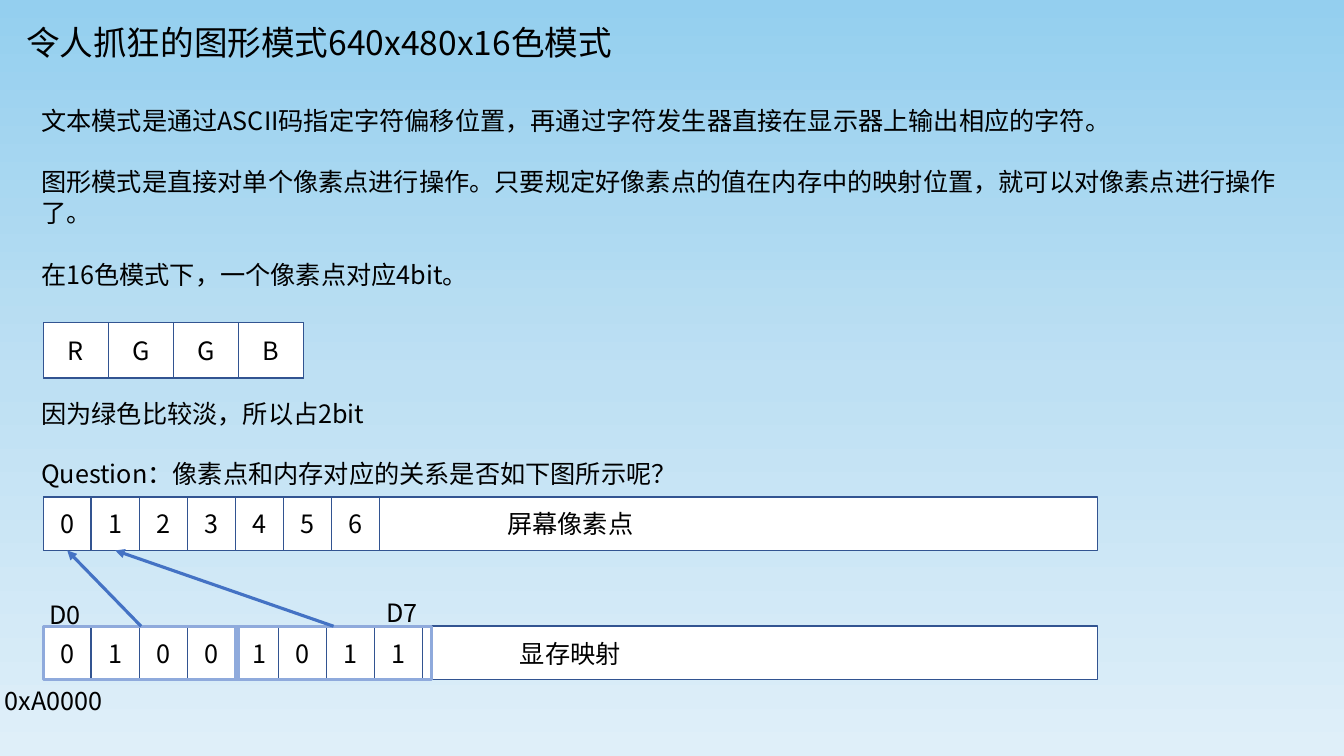
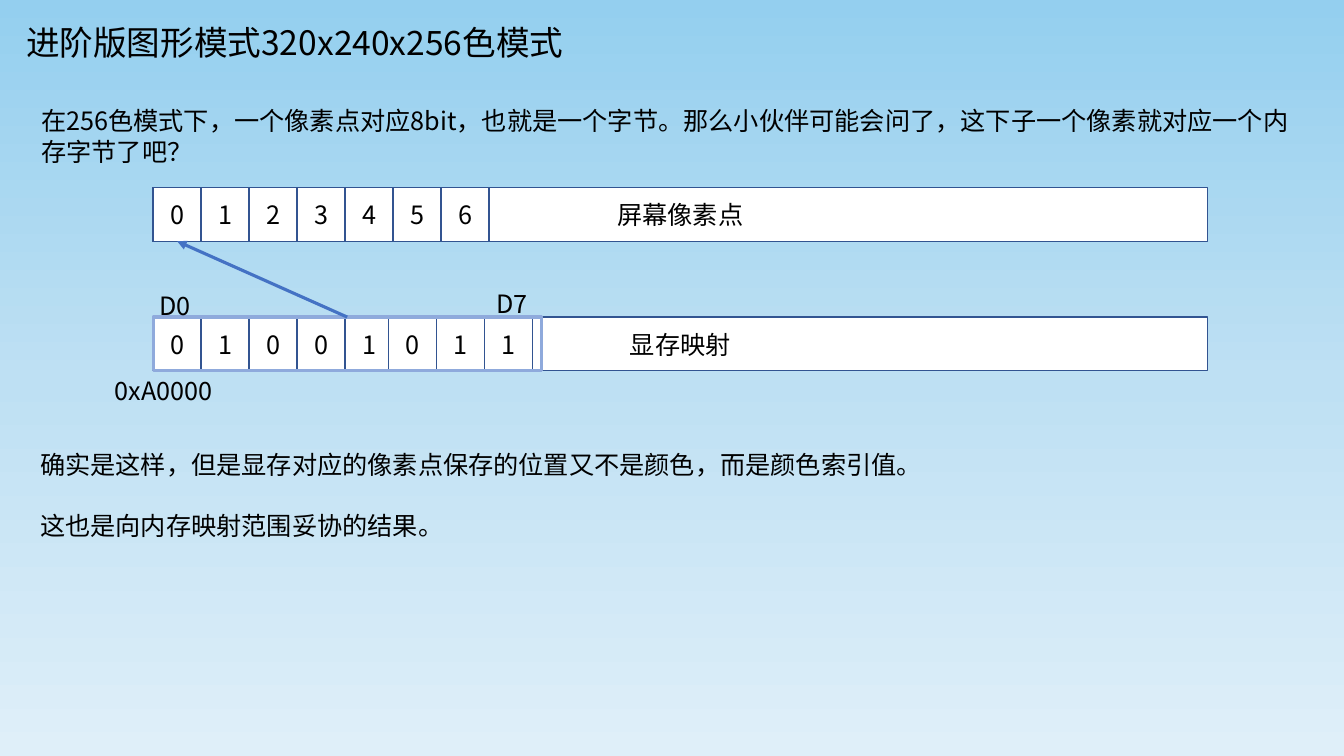
from dataclasses import dataclass

from lxml.etree import SubElement
from pptx import Presentation
from pptx.dml.color import RGBColor
from pptx.enum.shapes import MSO_CONNECTOR, MSO_SHAPE
from pptx.enum.text import MSO_ANCHOR, PP_ALIGN
from pptx.oxml.ns import qn
from pptx.util import Cm, Pt


@dataclass(frozen=True)
class Theme:
    """Colours, font and sizes shared by the slides."""
    font: str = "Noto Sans CJK SC"
    ink: str = "000000"
    paper: str = "FFFFFF"
    edge: str = "325491"
    frame: str = "8FAADC"
    arrow: str = "4472C4"
    sky: tuple = ((0, "94CFEF"), (50, "BEE0F3"), (100, "DFEFF9"))
    title: int = 24
    body: int = 18
    lead: float = 1.22
    thin: float = 1
    thick: float = 2.25


THEME = Theme()


def paint(master):
    """Give the master its three-stop vertical gradient."""
    fill = master.background.fill
    fill.gradient()
    fill.gradient_angle = 270
    stops = master.element.find(".//" + qn("a:gsLst"))
    stops.clear()
    for place, color in THEME.sky:
        stop = SubElement(stops, qn("a:gs"), pos=str(place * 1000))
        SubElement(stop, qn("a:srgbClr"), val=color)


def style(frame, size, align=PP_ALIGN.LEFT):
    """Set font, line pitch and alignment of all text in a frame."""
    pitch = Pt(size * THEME.lead)
    for index, para in enumerate(frame.paragraphs):
        para.alignment = align
        para.line_spacing = pitch
        if index:
            para.space_before = pitch
        for run in para.runs:
            run.font.name = THEME.font
            run.font.size = Pt(size)
            run.font.color.rgb = RGBColor.from_string(THEME.ink)
            SubElement(run._r.get_or_add_rPr(), qn("a:ea"), typeface=THEME.font)


def label(slide, text, left, top, width, height=1.03, size=THEME.body):
    """Add a wrapped text box with one paragraph per line of text."""
    box = slide.shapes.add_textbox(Cm(left), Cm(top), Cm(width), Cm(height))
    frame = box.text_frame
    frame.word_wrap = True
    frame.text = text
    style(frame, size)


def rect(slide, left, top, width, height, line, weight):
    """Add an outlined rectangle without fill or shadow."""
    box = slide.shapes.add_shape(
        MSO_SHAPE.RECTANGLE, Cm(left), Cm(top), Cm(width), Cm(height))
    box.shadow.inherit = False
    box.fill.background()
    box.line.color.rgb = RGBColor.from_string(line)
    box.line.width = Pt(weight)
    return box


def cell(slide, text, left, top, width, height):
    """Add a white box with centred text."""
    box = rect(slide, left, top, width, height, THEME.edge, THEME.thin)
    box.fill.solid()
    box.fill.fore_color.rgb = RGBColor.from_string(THEME.paper)
    frame = box.text_frame
    frame.text = text
    frame.vertical_anchor = MSO_ANCHOR.MIDDLE
    style(frame, THEME.body, PP_ALIGN.CENTER)
    return box


def strip(slide, text, marks, left, top, width=26.57, height=1.35,
          step=1.21, shift=0):
    """Add a long band whose first cells hold the marks."""
    cell(slide, text, left, top, width, height)
    return [cell(slide, mark, left + step * index - (shift if index > 4 else 0),
                 top, step, height) for index, mark in enumerate(marks)]


def arrow(slide, start, end):
    """Join the top of one box to the bottom of another."""
    link = slide.shapes.add_connector(MSO_CONNECTOR.STRAIGHT, 0, 0, 0, 0)
    link.begin_connect(start, 0)
    link.end_connect(end, 2)
    link.line.color.rgb = RGBColor.from_string(THEME.arrow)
    link.line.width = Pt(THEME.thick)
    SubElement(link.line._get_or_add_ln(), qn("a:tailEnd"), type="triangle")
    SubElement(link.element.spPr, qn("a:effectLst"))


def memory(slide, left, top, count):
    """Draw pixels over memory bits, with count frames mapped to pixels."""
    base, step = top + 3.26, 4.85
    strip(slide, "显存映射", "01001011", left, base, shift=0.12)
    pixels = strip(slide, "屏幕像素点", "0123456", left, top)
    width = 9.78 - step * (count - 1)
    frames = [rect(slide, left + step * index, base, width, 1.35,
                   THEME.frame, THEME.thick) for index in range(count)]
    for frame, pixel in zip(frames, pixels):
        arrow(slide, frame, pixel)
    label(slide, "0xA0000", left - 1.22, top + 4.6, 3.43)
    label(slide, "D0", left - 0.1, top + 2.44, 1.75)
    label(slide, "D7", left + 8.4, top + 2.39, 1.75)


def page(deck, title):
    """Add a blank slide with its title."""
    slide = deck.slides.add_slide(deck.slide_layouts[6])
    label(slide, title, 0.41, 0.41, 16.36, 1.27, THEME.title)
    return slide


def sixteen(deck):
    """Build the 16-colour slide."""
    slide = page(deck, "令人抓狂的图形模式640x480x16色模式")
    label(slide, "文本模式是通过ASCII码指定字符偏移位置，再通过字符发生器直接在显示器上输出相应的字符。\n"
                 "图形模式是直接对单个像素点进行操作。只要规定好像素点的值在内存中的映射位置，就可以对像素点进行操作了。\n"
                 "在16色模式下，一个像素点对应4bit。", 0.79, 2.51, 31.98, 4.88)
    strip(slide, "", "RGGB", 1.09, 8.13, 6.56, 1.4, 1.64)
    label(slide, "因为绿色比较淡，所以占2bit", 0.79, 9.91, 9.07)
    label(slide, "Question：像素点和内存对应的关系是否如下图所示呢？", 0.79, 11.4, 18.34)
    memory(slide, 1.09, 12.52, 2)


def bytewise(deck):
    """Build the 256-colour slide."""
    slide = page(deck, "进阶版图形模式320x240x256色模式")
    label(slide, "在256色模式下，一个像素点对应8bit，也就是一个字节。那么小伙伴可能会问了，"
                 "这下子一个像素就对应一个内存字节了吧？", 0.79, 2.51, 31.98, 1.8)
    memory(slide, 3.86, 4.73, 1)
    label(slide, "确实是这样，但是显存对应的像素点保存的位置又不是颜色，而是颜色索引值。\n"
                 "这也是向内存映射范围妥协的结果。", 0.76, 11.18, 31.98, 2.57)


def main():
    """Build and save the deck."""
    deck = Presentation()
    deck.slide_width, deck.slide_height = Cm(33.87), Cm(19.05)
    paint(deck.slide_master)
    sixteen(deck)
    bytewise(deck)
    deck.save("out.pptx")


if __name__ == "__main__":
    main()
